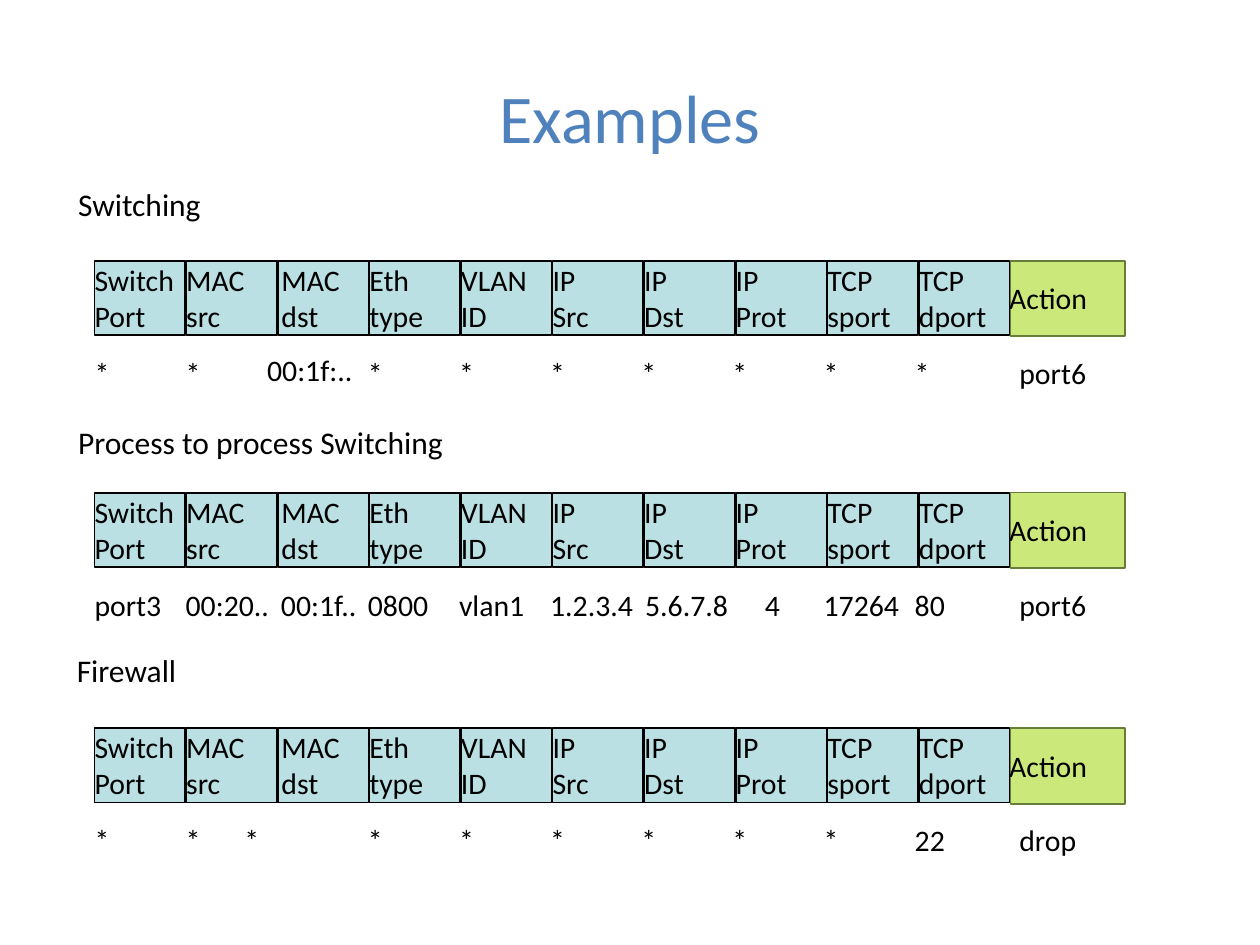
from dataclasses import dataclass, field

from pptx import Presentation
from pptx.dml.color import RGBColor
from pptx.enum.shapes import MSO_SHAPE
from pptx.enum.text import MSO_ANCHOR, PP_ALIGN
from pptx.shapes.autoshape import Shape
from pptx.util import Inches, Pt

COLORS = {
    "title": "4F81BD",
    "text": "000000",
    "field": "BBE0E3",
    "field_line": "000000",
    "action": "CBE97B",
    "action_line": "697D3A",
}
FONT = "Calibri"

TABLE_LEFT = 0.75
ACTION_LEFT = 8.02
FIELDS = [
    "Switch\nPort", "MAC\nsrc", "MAC\ndst", "Eth\ntype", "VLAN\nID",
    "IP\nSrc", "IP\nDst", "IP\nProt", "TCP\nsport", "TCP\ndport",
]
FIELD_PITCH = (ACTION_LEFT - TABLE_LEFT) / len(FIELDS)
FIELD_WIDTH = 0.72
LABEL_SHIFTS = {"MAC\ndst": 0.03}
VALUE_PITCH = (7.26 - TABLE_LEFT) / (len(FIELDS) - 1)
ACTION_VALUE_LEFT = 8.09


@dataclass
class Place:
    """Position of a value that stands off the column grid."""
    left: float
    width: float = FIELD_WIDTH
    rise: float = 0.0


@dataclass
class FlowExample:
    heading: str
    heading_left: float
    heading_top: float
    heading_width: float
    top: float
    values: list[str]
    action: str
    places: dict[int, Place] = field(default_factory=dict)


EXAMPLES = [
    FlowExample("Switching", 0.62, 1.47, 0.98, 2.07,
                ["*", "*", "00:1f:.."] + ["*"] * 7, "port6",
                {2: Place(2.12, 1.24, 0.02)}),
    FlowExample("Process to process Switching", 0.62, 3.36, 2.93, 3.91,
                ["port3", "00:20..", "00:1f..", "0800", "vlan1",
                 "1.2.3.4", "5.6.7.8", "4", "17264", "80"], "port6",
                {2: Place(2.23, 0.95), 6: Place(5.12), 7: Place(6.07)}),
    FlowExample("Firewall", 0.61, 5.17, 0.8, 5.78,
                ["*"] * 9 + ["22"], "drop",
                {2: Place(1.94, 1.24)}),
]


def add_text(shapes, text: str, left: float, top: float, width: float, height: float,
             size: float = 17, color: str = "text", wrap: bool = True,
             align: PP_ALIGN = PP_ALIGN.LEFT) -> Shape:
    box = shapes.add_textbox(Inches(left), Inches(top), Inches(width), Inches(height))
    frame = box.text_frame
    frame.word_wrap = wrap
    frame.vertical_anchor = MSO_ANCHOR.MIDDLE
    frame.margin_left = frame.margin_right = frame.margin_top = frame.margin_bottom = 0
    frame.text = text
    for paragraph in frame.paragraphs:
        paragraph.alignment = align
        paragraph.font.name = FONT
        paragraph.font.size = Pt(size)
        paragraph.font.color.rgb = RGBColor.from_string(COLORS[color])
    return box


def add_cell(shapes, kind: str, left: float, top: float, width: float, height: float) -> Shape:
    cell = shapes.add_shape(MSO_SHAPE.RECTANGLE, Inches(left), Inches(top),
                            Inches(width), Inches(height))
    cell.shadow.inherit = False
    cell.fill.solid()
    cell.fill.fore_color.rgb = RGBColor.from_string(COLORS[kind])
    cell.line.color.rgb = RGBColor.from_string(COLORS[f"{kind}_line"])
    cell.line.width = Pt(1)
    return cell


def add_header(slide, top: float) -> None:
    """Draw the match fields and the action cell as one group."""
    shapes = slide.shapes.add_group_shape().shapes
    for column, label in enumerate(FIELDS):
        left = TABLE_LEFT + column * FIELD_PITCH
        shift = LABEL_SHIFTS.get(label, 0)
        add_cell(shapes, "field", left, top, FIELD_WIDTH, 0.59)
        add_text(shapes, label, left + shift, top - 0.02, FIELD_WIDTH - shift, 0.62)
    add_cell(shapes, "action", ACTION_LEFT, top, 0.91, 0.6)
    add_text(shapes, "Action", ACTION_LEFT - 0.01, top + 0.12, 0.92, 0.35)


def add_example(slide, example: FlowExample) -> None:
    add_text(slide.shapes, example.heading, example.heading_left, example.heading_top,
             example.heading_width, 0.3, size=18, wrap=False)
    add_header(slide, example.top)
    # Values below the header
    value_top = example.top + 0.71
    for column, value in enumerate(example.values):
        place = example.places.get(column, Place(TABLE_LEFT + column * VALUE_PITCH))
        add_text(slide.shapes, value, place.left, value_top - place.rise, place.width, 0.35)
    add_text(slide.shapes, example.action, ACTION_VALUE_LEFT, value_top, FIELD_WIDTH, 0.35)


def main() -> None:
    presentation = Presentation()
    presentation.slide_width = Inches(10)
    presentation.slide_height = Inches(7.5)
    slide = presentation.slides.add_slide(presentation.slide_layouts[6])

    # Title
    add_text(slide.shapes, "Examples", 0.5, 0.3, 9, 1.25, size=39, color="title",
             align=PP_ALIGN.CENTER)

    # Flow table examples
    for example in EXAMPLES:
        add_example(slide, example)

    presentation.save("out.pptx")


if __name__ == "__main__":
    main()
